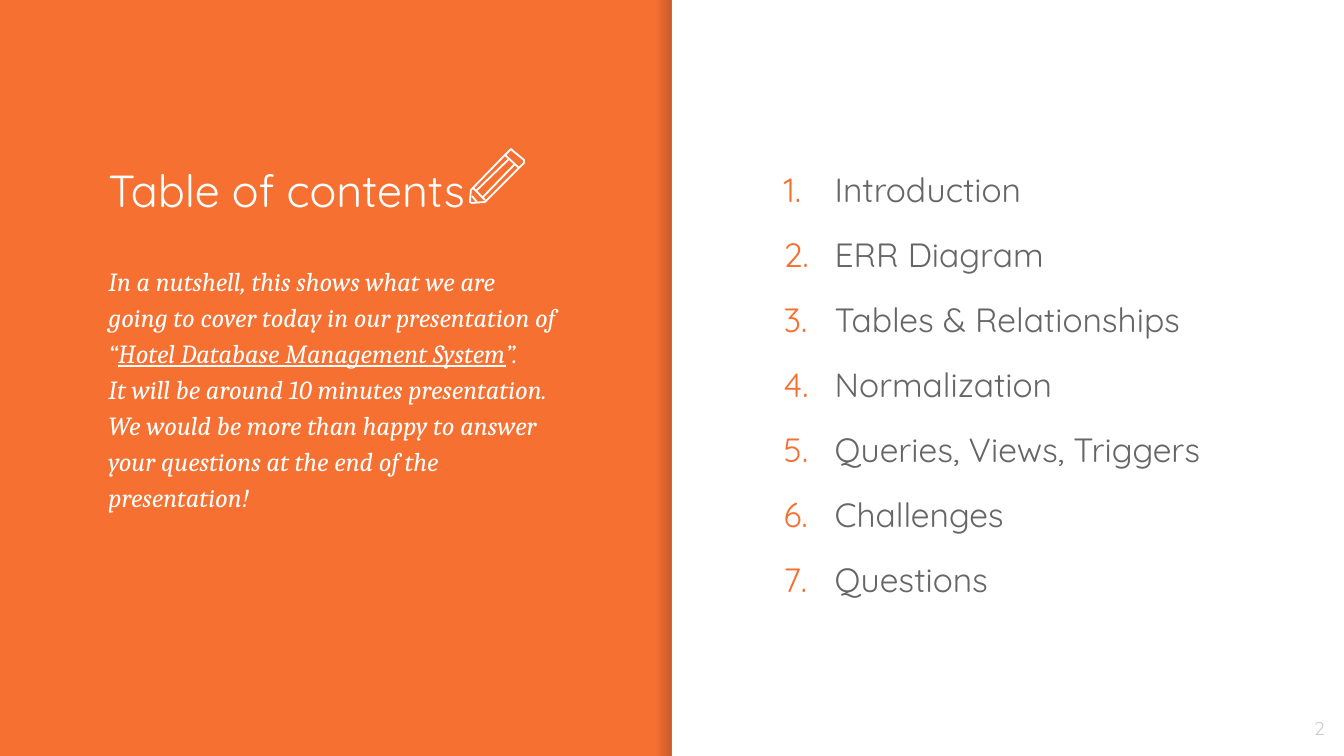
from lxml import etree
from pptx import Presentation
from pptx import util as u
from pptx.dml.color import RGBColor
from pptx.enum import shapes, text
from pptx.oxml import ns

PX = 914400 / 134.4
ORANGE, WHITE, GREY, PALE, SHADE = "F67031", "FFFFFF", "666666", "CCCCCC", "000014"
rgb = RGBColor.from_string


def emu(*lengths):
    return [round(length * PX) for length in lengths]


def style(paragraph, face, size, color, italic=False):
    for run in paragraph.runs:
        run.font.name = face
        run.font.size = u.Pt(size)
        run.font.italic = italic
        run.font.color.rgb = rgb(color)


prs = Presentation()
prs.slide_width, prs.slide_height = emu(1344, 756)
slide = prs.slides.add_slide(prs.slide_layouts[3])
slide.background.fill.solid()
slide.background.fill.fore_color.rgb = rgb(ORANGE)
title, intro, contents = slide.placeholders

page = slide.shapes.add_shape(shapes.MSO_SHAPE.RECTANGLE, *emu(672, 0, 672, 756))
page.fill.solid()
page.fill.fore_color.rgb = rgb(WHITE)
fold = slide.shapes.add_shape(shapes.MSO_SHAPE.RECTANGLE, *emu(655, 0, 17, 756))
fold.fill.gradient()
fold.fill.gradient_angle = 0
for stop, alpha in zip(fold.fill.gradient_stops, (0, 20000)):
    stop.color.rgb = rgb(SHADE)
for srgb, alpha in zip(fold._element.spPr.iter(ns.qn("a:srgbClr")), (0, 20000)):
    etree.SubElement(srgb, ns.qn("a:alpha"), val=str(alpha))
for panel in (page, fold):
    panel.shadow.inherit = False
    panel.line.fill.background()

number = slide.shapes.add_textbox(*emu(1300, 703, 38, 50))
number.text_frame.text = "2"

for box, place in (
    (title, (95, 149, 477, 142)),
    (intro, (95, 247, 477, 313)),
    (contents, (754, 149, 511, 517)),
    (number, (1300, 703, 38, 50)),
):
    box.left, box.top, box.width, box.height = emu(*place)
    frame = box.text_frame
    frame.margin_left = frame.margin_right = frame.margin_top = frame.margin_bottom = u.Inches(0.1)
    frame.auto_size = text.MSO_AUTO_SIZE.NONE
    frame.vertical_anchor = text.MSO_ANCHOR.TOP
    frame.word_wrap = True
    slide.shapes._spTree.append(box._element)

title.text_frame.text = "Table of contents"
title.text_frame.paragraphs[0].alignment = text.PP_ALIGN.LEFT
style(title.text_frame.paragraphs[0], "Quicksand", 24, WHITE)

number.text_frame.word_wrap = False
number.text_frame.vertical_anchor = text.MSO_ANCHOR.MIDDLE
number.text_frame.paragraphs[0].alignment = text.PP_ALIGN.RIGHT
style(number.text_frame.paragraphs[0], "Quicksand", 10, PALE)

intro.width = emu(477)[0]
intro.text_frame.text = (
    "In a nutshell, this shows what we are going to cover today in our presentation of “\n"
    "It will be around 10 minutes presentation. We would be more than happy to answer "
    "your questions at the end of the presentation!"
)
opening = intro.text_frame.paragraphs[0]
project = opening.add_run()
project.text = "Hotel Database Management System"
project.font.underline = True
opening.add_run().text = "”."
for paragraph in intro.text_frame.paragraphs:
    properties = paragraph._p.get_or_add_pPr()
    properties.set("marL", "0")
    properties.set("indent", "0")
    etree.SubElement(properties, ns.qn("a:buNone"))
    paragraph.line_spacing = 1.15
    paragraph.space_before = u.Pt(0)
    style(paragraph, "Cambria", 14, WHITE, italic=True)

contents.text_frame.text = "\n".join([
    "Introduction",
    "ERR Diagram",
    "Tables & Relationships",
    "Normalization",
    "Queries, Views, Triggers",
    "Challenges",
    "Questions",
])
for index, paragraph in enumerate(contents.text_frame.paragraphs):
    properties = paragraph._p.get_or_add_pPr()
    properties.set("marL", str(u.Inches(0.5)))
    properties.set("indent", str(u.Inches(-0.38)))
    bullet_color = etree.SubElement(properties, ns.qn("a:buClr"))
    etree.SubElement(bullet_color, ns.qn("a:srgbClr"), val=ORANGE)
    etree.SubElement(properties, ns.qn("a:buFont"), typeface="Quicksand")
    etree.SubElement(properties, ns.qn("a:buAutoNum"), type="arabicPeriod")
    paragraph.line_spacing = 1.15
    paragraph.space_before = u.Pt(10 if index else 0)
    style(paragraph, "Quicksand", 18, GREY)

pencil = slide.shapes.add_group_shape()
eraser = [(524, 160), (513, 151), (511, 149), (505, 155), (519, 168), (524, 163)]
barrel = [(505, 155), (473, 188), (471, 190), (470, 202), (472, 203),
          (485, 202), (487, 200), (519, 168)]
strokes = []
for outline, closed in ((eraser, True), (barrel, False)):
    builder = pencil.shapes.build_freeform(*outline[0], scale=PX)
    builder.add_line_segments(outline[1:], close=closed)
    part = builder.convert_to_shape()
    part.fill.background()
    part.shadow.inherit = False
    strokes.append(part)
for ends in (
    (515, 164, 482, 198),
    (476, 191, 509, 159),
    (477, 202, 472, 196),
    (473, 188, 485, 200),
):
    edge = pencil.shapes.add_connector(shapes.MSO_CONNECTOR.STRAIGHT, *emu(*ends))
    etree.SubElement(edge._element.spPr, ns.qn("a:effectLst"))
    strokes.append(edge)
for stroke in strokes:
    stroke.line.color.rgb = rgb(WHITE)
    stroke.line.width = u.Pt(0.96)

prs.save("out.pptx")
